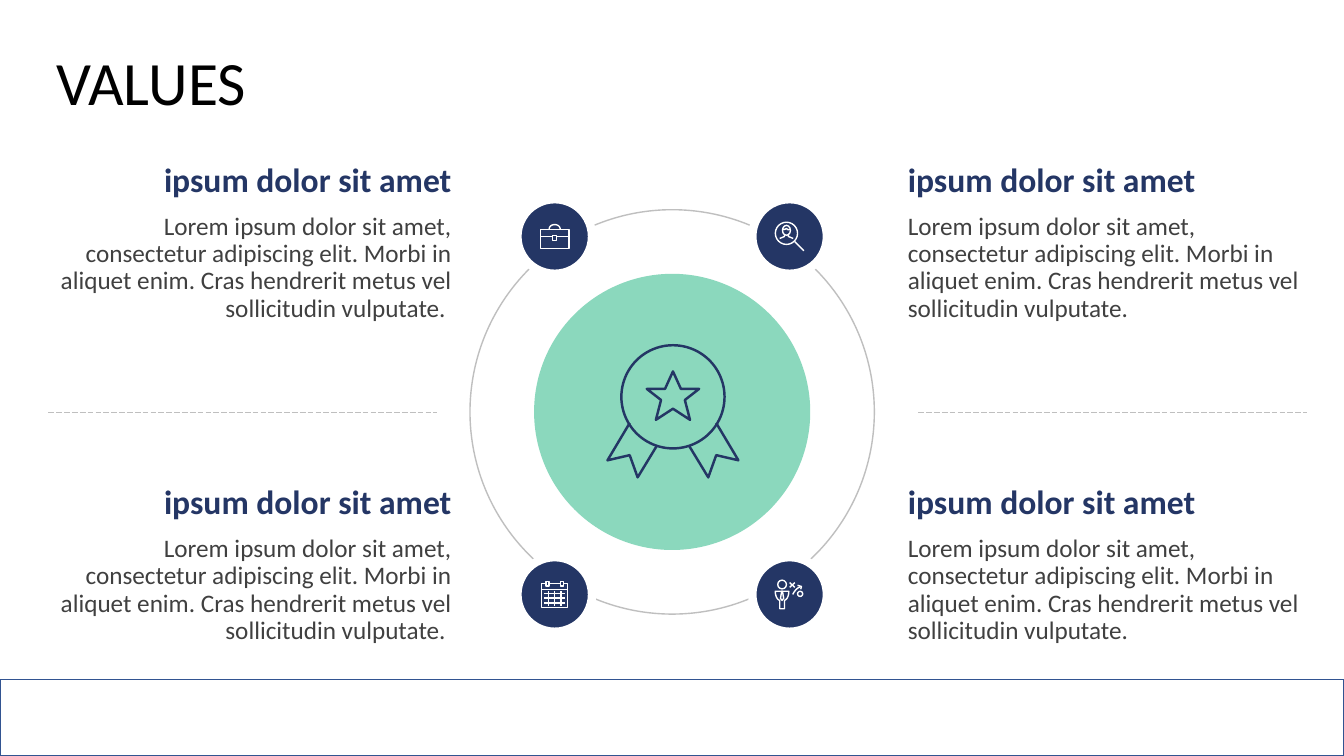
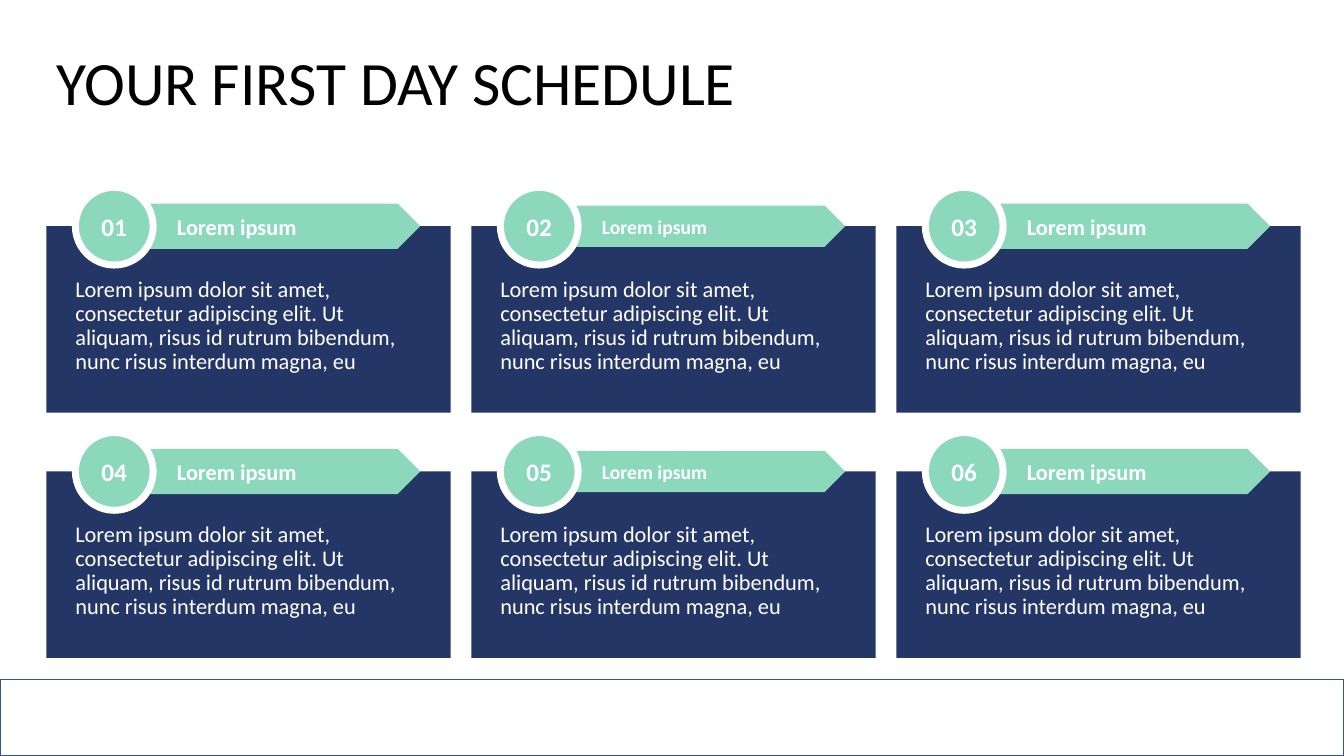
from dataclasses import dataclass
from typing import Any

from lxml import etree
from pptx import Presentation
from pptx.dml.color import RGBColor
from pptx.enum.dml import MSO_LINE
from pptx.enum.shapes import MSO_CONNECTOR, MSO_SHAPE
from pptx.enum.text import MSO_ANCHOR, PP_ALIGN
from pptx.oxml.ns import qn
from pptx.util import Cm, Pt

OVAL, RECT, PENTAGON = MSO_SHAPE.OVAL, MSO_SHAPE.RECTANGLE, MSO_SHAPE.PENTAGON
STRAIGHT, LONG_DASH = MSO_CONNECTOR.STRAIGHT, MSO_LINE.LONG_DASH
TOP, MIDDLE = MSO_ANCHOR.TOP, MSO_ANCHOR.MIDDLE
LEFT, CENTER, RIGHT = PP_ALIGN.LEFT, PP_ALIGN.CENTER, PP_ALIGN.RIGHT
LEFT_SIDE, RIGHT_SIDE = 1, 3

# Shared style
FONT = "Calibri"
NAVY, MINT, WHITE, BLACK = "243665", "8BD8BD", "FFFFFF", "000000"
GREY, BODY_GREY, BAND_BLUE = "BFBFBF", "404040", "325491"
SLIDE_W, SLIDE_H = 33.87, 19.05

# Content
VALUE_HEADING = "ipsum dolor sit amet"
VALUE_BODY = ("Lorem ipsum dolor sit amet, consectetur adipiscing elit. Morbi in "
              "aliquet enim. Cras hendrerit metus vel sollicitudin vulputate.")
STEP_HEADING = "Lorem ipsum"
STEP_BODY = ("Lorem ipsum dolor sit amet, consectetur adipiscing elit. Ut aliquam, "
             "risus id rutrum bibendum, nunc risus interdum magna, eu")


def color(hex_string):
    return RGBColor.from_string(hex_string)


# Basic elements
def style_shape(shape, fill=None, line=None, width=1):
    shape.shadow.inherit = False
    if fill:
        shape.fill.solid()
        shape.fill.fore_color.rgb = color(fill)
    else:
        shape.fill.background()
    if line:
        shape.line.color.rgb = color(line)
        shape.line.width = Pt(width)
    else:
        shape.line.fill.background()
    return shape


def add_box(shapes, kind, x, y, w, h, fill=None, line=None, width=1):
    shape = shapes.add_shape(kind, Cm(x), Cm(y), Cm(w), Cm(h))
    return style_shape(shape, fill, line, width)


def add_circle(shapes, cx, cy, diameter, **style):
    return add_box(shapes, OVAL, cx - diameter / 2, cy - diameter / 2,
                   diameter, diameter, **style)


def add_line(shapes, x1, y1, x2, y2, hex_string, width):
    connector = shapes.add_connector(STRAIGHT, Cm(x1), Cm(y1), Cm(x2), Cm(y2))
    connector.line.color.rgb = color(hex_string)
    connector.line.width = Pt(width)
    etree.SubElement(connector._element.spPr, qn("a:effectLst"))
    return connector


def set_frame(shape, insets, anchor):
    frame = shape.text_frame
    frame.word_wrap = True
    frame.vertical_anchor = anchor
    (frame.margin_left, frame.margin_top,
     frame.margin_right, frame.margin_bottom) = (Cm(inset) for inset in insets)
    return frame


def write(paragraph, text, size, hex_string, bold=False, align=LEFT,
          spacing=None, before=None):
    paragraph.alignment = align
    if spacing is not None:
        paragraph.line_spacing = spacing
    if before is not None:
        paragraph.space_before = Pt(before)
    run = paragraph.add_run()
    run.text = text
    run.font.name = FONT
    run.font.size = Pt(size)
    run.font.bold = bold
    run.font.color.rgb = color(hex_string)


def add_text_frame(slide, x, y, w, h, insets, anchor):
    box = slide.shapes.add_textbox(Cm(x), Cm(y), Cm(w), Cm(h))
    return set_frame(box, insets, anchor)


def add_title(slide, text):
    frame = add_text_frame(slide, 1.17, 1.02, 31.52, 2.29,
                           (0.25, 0.13, 0.25, 0.13), MIDDLE)
    write(frame.paragraphs[0], text, 44, BLACK, spacing=0.9)


def add_footer_band(slide):
    height = 1.93
    add_box(slide.shapes, RECT, 0, SLIDE_H - height, SLIDE_W, height,
            fill=WHITE, line=BAND_BLUE)


# Line icons, drawn in cm around their own centre
@dataclass
class IconPen:
    shapes: Any
    cx: float
    cy: float
    ink: str = WHITE
    width: float = 1

    def line(self, x1, y1, x2, y2):
        return add_line(self.shapes, self.cx + x1, self.cy + y1,
                        self.cx + x2, self.cy + y2, self.ink, self.width)

    def box(self, kind, x, y, w, h):
        return add_box(self.shapes, kind, self.cx + x, self.cy + y, w, h,
                       line=self.ink, width=self.width)

    def outline(self, points, close=False):
        start, *rest = [(Cm(self.cx + x), Cm(self.cy + y)) for x, y in points]
        builder = self.shapes.build_freeform(*start)
        builder.add_line_segments(rest, close=close)
        style_shape(builder.convert_to_shape(), line=self.ink, width=self.width)


def bezier(p0, p1, p2, p3, steps=12):
    def point(t):
        u = 1 - t
        return tuple(u**3 * a + 3 * u * u * t * b + 3 * u * t * t * c + t**3 * d
                     for a, b, c, d in zip(p0, p1, p2, p3))
    return [point(step / steps) for step in range(steps + 1)]


def mirror(points, axis=0):
    return [(2 * axis - x, y) for x, y in points]


def draw_briefcase(pen):
    pen.outline(bezier((-0.14, -0.18), (-0.14, -0.34), (0.14, -0.34), (0.14, -0.18)))
    pen.box(RECT, -0.36, -0.18, 0.72, 0.48)
    pen.box(RECT, -0.05, -0.03, 0.1, 0.13)
    for outer, inner in ((-0.36, -0.05), (0.36, 0.05)):
        pen.line(outer, 0, inner, 0)


def draw_calendar(pen):
    frame_half = [(-0.23, -0.27), (-0.33, -0.27), (-0.33, 0.33)]
    pen.outline(frame_half + mirror(frame_half)[::-1])
    left_tab, right_tab = (pen.box(RECT, x, -0.33, 0.08, 0.12) for x in (-0.22, 0.14))
    top_edge = pen.line(-0.14, -0.27, 0.14, -0.27)
    top_edge.begin_connect(left_tab, RIGHT_SIDE)
    top_edge.end_connect(right_tab, LEFT_SIDE)
    pen.line(-0.33, -0.13, 0.33, -0.13)
    for x in (-0.16, 0, 0.16):
        pen.line(x, -0.08, x, 0.28)
    for y in (-0.03, 0.09, 0.21):
        pen.line(-0.27, y, 0.27, y)


def draw_people_search(pen):
    lens_x = -0.08
    shoulder = [(0.09, 0.05), (-0.03, 0), (-0.03, -0.05)]
    pen.outline(shoulder)
    pen.outline(mirror(shoulder, lens_x))
    pen.outline([(0.01, -0.18), (-0.04, -0.17), (-0.08, -0.2),
                 (-0.12, -0.18), (-0.18, -0.18)])
    pen.box(OVAL, lens_x - 0.1, -0.28, 0.2, 0.25)
    pen.box(OVAL, lens_x - 0.28, -0.36, 0.56, 0.56)
    pen.line(0.13, 0.13, 0.36, 0.36)


def draw_strategist(pen):
    body_x = -0.19
    side = bezier((-0.36, -0.08), (-0.36, 0.05), (-0.31, 0.13), (-0.25, 0.15))
    side.append((-0.25, 0.36))
    pen.outline(side + mirror(side, body_x)[::-1], close=True)
    pen.outline([(-0.18, -0.08), (-0.2, -0.08), (-0.23, 0.1),
                 (-0.19, 0.15), (-0.15, 0.1)], close=True)
    pen.outline(bezier((0.08, 0), (0.13, -0.1), (0.2, -0.18), (0.3, -0.2)))
    pen.outline([(0.2, -0.23), (0.3, -0.2), (0.28, -0.13)])
    pen.line(0, -0.3, 0.13, -0.18)
    pen.line(0.13, -0.3, 0, -0.18)
    pen.box(OVAL, 0.2, -0.08, 0.13, 0.13)
    pen.box(OVAL, body_x - 0.11, -0.36, 0.22, 0.22)


def draw_award(pen):
    ribbon = [(-1.09, 0.28), (-1.65, 1.22), (-1.09, 1.09), (-0.89, 1.65), (-0.41, 0.86)]
    pen.outline(ribbon)
    pen.outline(mirror(ribbon))
    star_half = [(0, -1.02), (0.2, -0.58), (0.66, -0.58), (0.3, -0.3),
                 (0.43, 0.2), (0, -0.08)]
    pen.outline(star_half + mirror(star_half)[-2:0:-1], close=True)
    pen.box(OVAL, -1.3, -1.68, 2.6, 2.6)


def add_icon(slide, draw, cx, cy, **ink):
    draw(IconPen(slide.shapes.add_group_shape().shapes, cx, cy, **ink))


# Values slide
def add_value(slide, x, y, align, body):
    frame = add_text_frame(slide, x, y, 10.16, 3.91, (0.1, 0, 0.1, 0), MIDDLE)
    write(frame.paragraphs[0], VALUE_HEADING, 24, NAVY, True, align, 0.9, 10)
    write(frame.add_paragraph(), body, 18, BODY_GREY, False, align, 0.9, 10)


def build_values(slide):
    add_title(slide, "VALUES")

    # Central disc and ring
    hub_x, hub_y = 16.94, 10.38
    add_circle(slide.shapes, hub_x, hub_y, 6.96, fill=MINT)
    add_circle(slide.shapes, hub_x, hub_y, 10.19, line=GREY)
    add_icon(slide, draw_award, hub_x + 0.02, hub_y, ink=NAVY, width=1.75)

    # Badges on the ring
    badges = ((draw_briefcase, -1, -4.42), (draw_people_search, 1, -4.42),
              (draw_calendar, -1, 4.6), (draw_strategist, 1, 4.6))
    for draw, side, offset_y in badges:
        badge_x, badge_y = hub_x + side * 2.96, hub_y + offset_y
        add_circle(slide.shapes, badge_x, badge_y, 1.88,
                   fill=NAVY, line=WHITE, width=6)
        add_icon(slide, draw, badge_x, badge_y)

    # Text blocks and dividers
    for y in (4.17, 12.29):
        add_value(slide, 1.32, y, RIGHT, VALUE_BODY + " ")
        add_value(slide, 22.78, y, LEFT, VALUE_BODY)
    for x in (1.22, 23.14):
        divider = add_line(slide.shapes, x, hub_y, x + 9.8, hub_y, GREY, 0.5)
        divider.line.dash_style = LONG_DASH
    add_footer_band(slide)


# Schedule slide
def add_step(slide, number, x, y, ribbon_h, heading_size):
    add_box(slide.shapes, RECT, x, y, 10.19, 4.7, fill=NAVY)

    ribbon = add_box(slide.shapes, PENTAGON, x + 1.29, y - ribbon_h / 2, 8.13,
                     ribbon_h, fill=MINT)
    frame = set_frame(ribbon, (2, 0.13, 0.25, 0.13), MIDDLE)
    write(frame.paragraphs[0], STEP_HEADING, heading_size, WHITE, True)

    badge = add_circle(slide.shapes, x + 1.71, y, 1.96, fill=MINT, line=WHITE, width=5)
    frame = set_frame(badge, (0, 0, 0, 0), MIDDLE)
    write(frame.paragraphs[0], f"{number:02}", 18, WHITE, True, CENTER)

    frame = add_text_frame(slide, x + 0.73, y + 1.3, 8.69, 2.08, (0, 0, 0, 0), TOP)
    write(frame.paragraphs[0], STEP_BODY, 16, WHITE, spacing=0.9, before=10)


def build_schedule(slide):
    add_title(slide, "YOUR FIRST DAY SCHEDULE")
    column_ribbons = ((1.14, 16), (1.04, 14), (1.14, 16))
    for index in range(6):
        row, column = divmod(index, 3)
        add_step(slide, index + 1, 1.17 + column * 10.71, 5.7 + row * 6.18,
                 *column_ribbons[column])
    add_footer_band(slide)


def main():
    deck = Presentation()
    deck.slide_width, deck.slide_height = Cm(SLIDE_W), Cm(SLIDE_H)
    blank = deck.slide_layouts[6]
    for build in (build_values, build_schedule):
        build(deck.slides.add_slide(blank))
    deck.save("out.pptx")


if __name__ == "__main__":
    main()
